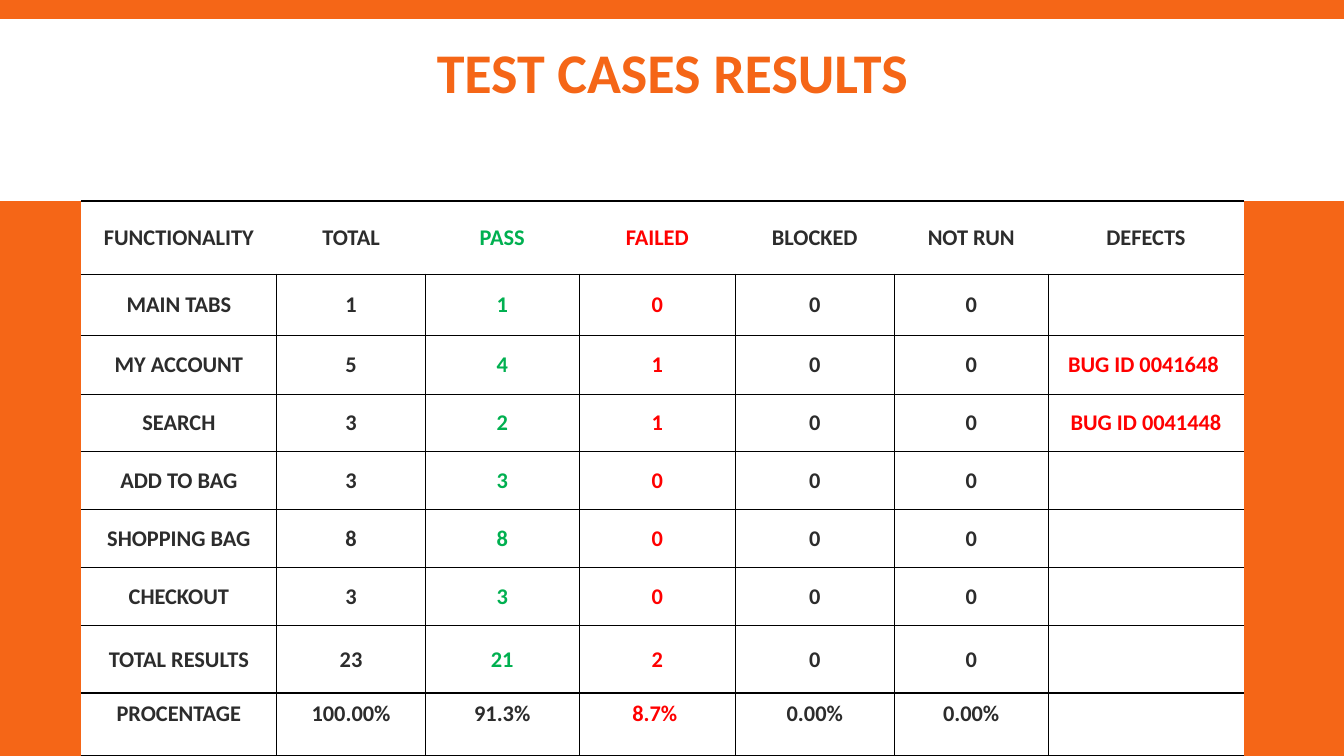
from lxml import etree
from pptx import Presentation
from pptx.dml.color import RGBColor
from pptx.enum.shapes import MSO_SHAPE
from pptx.enum.text import MSO_ANCHOR, PP_ALIGN
from pptx.oxml.ns import qn
from pptx.util import Pt

RECT = MSO_SHAPE.RECTANGLE
CENTER = PP_ALIGN.CENTER
MIDDLE, BOTTOM = MSO_ANCHOR.MIDDLE, MSO_ANCHOR.BOTTOM

ORANGE = RGBColor(0xF5, 0x66, 0x17)
WHITE = RGBColor(0xFF, 0xFF, 0xFF)
BLACK = RGBColor(0x00, 0x00, 0x00)
INK = RGBColor(0x2C, 0x2C, 0x2C)
GREEN = RGBColor(0x00, 0xB0, 0x50)
RED = RGBColor(0xFF, 0x00, 0x00)

WIDTH, HEIGHT = 960, 540
COLUMN_WIDTHS = [140, 106, 110, 111.5, 113.5, 110, 139.7]
ROW_HEIGHTS = [52.4, 43.7, 42, 41, 41.3, 41.3, 41.5, 48.5, 44.5]
COLUMN_COLORS = [INK, INK, GREEN, RED, INK, INK, RED]
RESULTS = [
    ["FUNCTIONALITY", "TOTAL", "PASS", "FAILED", "BLOCKED", "NOT RUN", "DEFECTS"],
    ["MAIN TABS", "1", "1", "0", "0", "0", ""],
    ["MY ACCOUNT", "5", "4", "1", "0", "0", "BUG ID 0041648 "],
    ["SEARCH", "3", "2", "1", "0", "0", "BUG ID 0041448"],
    ["ADD TO BAG", "3", "3", "0", "0", "0", ""],
    ["SHOPPING BAG", "8", "8", "0", "0", "0", ""],
    ["CHECKOUT", "3", "3", "0", "0", "0", ""],
    ["TOTAL RESULTS", "23", "21", "2", "0", "0", ""],
    ["PROCENTAGE", "100.00%", "91.3%", "8.7% ", "0.00%", "0.00%", ""],
]
INK_CELLS = {("DEFECTS", 6), ("91.3%", 2)}


class SlideBuilder:
    font = "Calibri"

    def __init__(self, prs, background):
        self.s = prs.slides.add_slide(prs.slide_layouts[6])
        fill = self.s.background.fill
        fill.solid()
        fill.fore_color.rgb = background

    def set_text(self, tf, text, size, color):
        p = tf.paragraphs[0]
        p.text = text
        p.alignment = CENTER
        p.font.name = self.font
        p.font.size = Pt(size)
        p.font.bold = True
        p.font.color.rgb = color
        return p

    def band(self, x, y, w, h, color):
        sp = self.s.shapes.add_shape(RECT, Pt(x), Pt(y), Pt(w), Pt(h))
        sp.shadow.inherit = False
        sp.fill.solid()
        sp.fill.fore_color.rgb = color
        sp.line.fill.background()

    def title(self, x, y, w, h, text):
        tf = self.s.shapes.add_textbox(Pt(x), Pt(y), Pt(w), Pt(h)).text_frame
        tf.word_wrap = True
        tf.vertical_anchor = MIDDLE
        self.set_text(tf, text, 40, ORANGE).line_spacing = 0.85

    def borders(self, cell, widths):
        """Draw left, right, top and bottom lines; a width of 0 means no line."""
        tc_pr = cell._tc.get_or_add_tcPr()
        for i, (side, width) in enumerate(zip("LRTB", widths)):
            ln = etree.Element(qn(f"a:ln{side}"), w=str(Pt(width)))
            if width:
                fill = etree.SubElement(ln, qn("a:solidFill"))
                etree.SubElement(fill, qn("a:srgbClr"), val=str(BLACK))
            else:
                etree.SubElement(ln, qn("a:noFill"))
            tc_pr.insert(i, ln)

    def cell(self, cell, text, color, last_row):
        cell.fill.solid()
        cell.fill.fore_color.rgb = WHITE
        cell.margin_left = cell.margin_right = cell.margin_top = Pt(0.7)
        cell.margin_bottom = Pt(20 if last_row else 0)
        cell.vertical_anchor = BOTTOM if last_row else MIDDLE
        self.set_text(cell.text_frame, text, 16, color)

    def table(self, x, y, rows, widths, heights):
        last_row, last_col = len(rows) - 1, len(widths) - 1
        table = self.s.shapes.add_table(
            len(rows), len(widths), Pt(x), Pt(y), Pt(sum(widths)), Pt(sum(heights))
        ).table
        table.first_row = table.horz_banding = False
        for column, width in zip(table.columns, widths):
            column.width = Pt(width)
        for r, (row, height) in enumerate(zip(rows, heights)):
            table.rows[r].height = Pt(height)
            for c, text in enumerate(row):
                cell = table.cell(r, c)
                color = INK if (text, c) in INK_CELLS else COLUMN_COLORS[c]
                self.cell(cell, text, color, r == last_row)
                left = 1 if r and c else 0
                right = 1 if r and c < last_col else 0
                self.borders(cell, (left, right, 1 if r else 1.5, 1))


def main():
    prs = Presentation()
    prs.slide_width, prs.slide_height = Pt(WIDTH), Pt(HEIGHT)
    slide = SlideBuilder(prs, ORANGE)
    slide.band(0, 13.7, WIDTH, 129.8, WHITE)
    slide.title(154.8, 17.3, 650.9, 75, "TEST CASES RESULTS")
    slide.table(57.8, 143.5, RESULTS, COLUMN_WIDTHS, ROW_HEIGHTS)
    prs.save("out.pptx")


if __name__ == "__main__":
    main()
